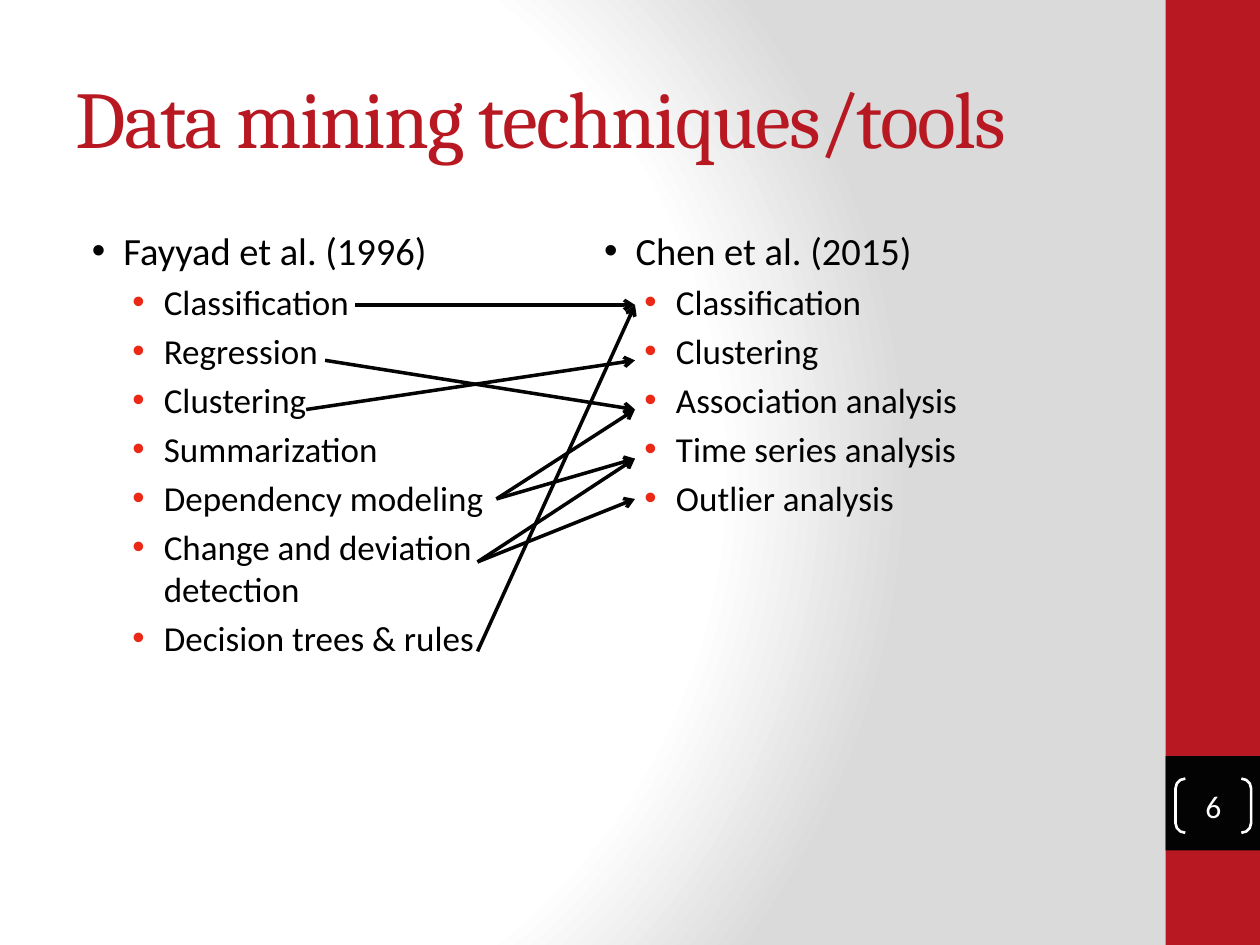
from lxml.etree import SubElement
from pptx import Presentation
from pptx.dml.color import RGBColor
from pptx.enum.shapes import MSO_CONNECTOR as CONNECTOR, MSO_SHAPE as SHAPE
from pptx.enum.text import MSO_ANCHOR as ANCHOR, MSO_AUTO_SIZE as AUTO_SIZE, PP_ALIGN as ALIGN
from pptx.oxml import parse_xml
from pptx.oxml.ns import nsdecls, qn
from pptx.util import Inches, Pt

COLORS = {"accent": "B81821", "dark": "030303", "text": "000000",
          "bullet": "EB2716", "white": "FFFFFF", "gray": "DADADA"}

FAYYAD = ["Classification", "Regression", "Clustering", "Summarization",
          "Dependency modeling", "Change and deviation detection",
          "Decision trees & rules"]
CHEN = ["Classification", "Clustering", "Association analysis",
        "Time series analysis", "Outlier analysis"]

STARTS = {"Classification": (2.32, 0.67), "Regression": (2.08, 1.11),
          "Clustering": (1.93, 1.5), "Dependency modeling": (3.44, 2.21),
          "Change and deviation detection": (3.29, 2.71),
          "Decision trees & rules": (3.29, 3.42)}
ENDS = dict(zip(CHEN, (0.67, 1.11, 1.5, 1.89, 2.21)))
END_LEFT = 4.54
LINKS = [("Classification", "Classification"),
         ("Clustering", "Clustering"),
         ("Regression", "Association analysis"),
         ("Change and deviation detection", "Outlier analysis"),
         ("Change and deviation detection", "Time series analysis"),
         ("Decision trees & rules", "Classification"),
         ("Dependency modeling", "Time series analysis"),
         ("Dependency modeling", "Association analysis")]


def rgb(name):
    """Return the named palette colour."""
    return RGBColor.from_string(COLORS[name])


def place(shape, left, top, width, height):
    """Move and size a shape, in inches."""
    shape.left, shape.top = Inches(left), Inches(top)
    shape.width, shape.height = Inches(width), Inches(height)


def write(paragraph, text, size, color="text", font="Calibri", align=ALIGN.LEFT, spacing=None):
    """Write one formatted run into a paragraph."""
    paragraph.alignment = align
    run = paragraph.add_run()
    run.text = text
    run.font.size, run.font.name = Pt(size), font
    run.font.color.rgb = rgb(color)
    if spacing is not None:
        run.font._element.set("spc", str(spacing * 100))


def set_bullet(paragraph, indent, color):
    """Give a paragraph a coloured bullet and a hanging indent."""
    properties = paragraph._p.get_or_add_pPr()
    properties.set("marL", str(Inches(indent)))
    properties.set("indent", str(Inches(-0.25)))
    bullet_color = SubElement(properties, qn("a:buClr"))
    SubElement(bullet_color, qn("a:srgbClr")).set("val", COLORS[color])
    SubElement(properties, qn("a:buFont")).set("typeface", "Arial")
    SubElement(properties, qn("a:buChar")).set("char", "•")


def paint_background(slide):
    """Fill the slide with a radial gradient."""
    stops = "".join(
        f'<a:gs pos="{position * 1000}"><a:srgbClr val="{COLORS[color]}"/></a:gs>'
        for position, color in ((0, "white"), (75, "white"), (100, "gray")))
    slide.element.cSld.insert(0, parse_xml(
        f'<p:bg {nsdecls("p", "a")}><p:bgPr><a:gradFill rotWithShape="1">'
        f'<a:gsLst>{stops}</a:gsLst><a:path path="circle">'
        '<a:fillToRect l="20000" t="50000" r="100000" b="50000"/></a:path>'
        '</a:gradFill><a:effectLst/></p:bgPr></p:bg>'))


def add_block(slide, color, *box):
    """Add a plain filled rectangle."""
    block = slide.shapes.add_shape(SHAPE.RECTANGLE, *map(Inches, box))
    block.shadow.inherit = False
    block.fill.solid()
    block.fill.fore_color.rgb = rgb(color)
    block.line.fill.background()


def add_sidebar(slide, left, top, width, height, number):
    """Add the side band with its bracketed page number."""
    add_block(slide, "accent", left, top, width, height)
    add_block(slide, "dark", left, top + 6, width, width)
    brackets = slide.shapes.add_shape(
        SHAPE.DOUBLE_BRACKET, *map(Inches, (left + 0.08, top + 6.18, 0.6, 0.43)))
    brackets.shadow.inherit = False
    brackets.adjustments[0] = 0.18
    brackets.fill.background()
    brackets.line.color.rgb = rgb("white")
    brackets.line.width = Pt(1.5)
    frame = brackets.text_frame
    frame.margin_left = frame.margin_right = frame.margin_top = frame.margin_bottom = 0
    frame.vertical_anchor = ANCHOR.MIDDLE
    write(frame.paragraphs[0], number, 18, color="white", align=ALIGN.CENTER)


def fill_title(title, left, top, width, height):
    """Place and write the slide title."""
    place(title, left, top, width, height)
    title.text_frame.auto_size = AUTO_SIZE.NONE
    title.text_frame.vertical_anchor = ANCHOR.MIDDLE
    write(title.text_frame.paragraphs[0], "Data mining techniques/tools", 46,
          color="accent", font="Cambria", spacing=-1)


def fill_list(body, heading, techniques, left, top, width, height):
    """Place one column: a source and its techniques."""
    place(body, left, top, width, height)
    frame = body.text_frame
    frame.auto_size = AUTO_SIZE.NONE
    source = frame.paragraphs[0]
    set_bullet(source, 0.38, "dark")
    write(source, heading, 22)
    for technique in techniques:
        item = frame.add_paragraph()
        item.level = 1
        set_bullet(item, 0.7, "bullet")
        write(item, technique, 20)


def add_links(slide, left, top):
    """Draw an arrow for each pair of matching techniques."""
    for old, new in LINKS:
        x, y = STARTS[old]
        arrow = slide.shapes.add_connector(
            CONNECTOR.STRAIGHT, Inches(left + x), Inches(top + y),
            Inches(left + END_LEFT), Inches(top + ENDS[new]))
        arrow.line.color.rgb = rgb("dark")
        arrow.line.width = Pt(2)
        properties = arrow._element.spPr
        SubElement(properties.find(qn("a:ln")), qn("a:tailEnd")).set("type", "arrow")
        SubElement(properties, qn("a:effectLst"))


def main():
    """Build and save the slide."""
    deck = Presentation()
    deck.slide_width, deck.slide_height = Inches(10), Inches(7.5)
    slide = deck.slides.add_slide(deck.slide_layouts[3])
    title, fayyad, chen = slide.placeholders
    left, top, width, height = 0.5, 1.75, 8.33, 5.25
    inset = 0.1
    column = (width - 2 * inset) / 2
    paint_background(slide)
    add_sidebar(slide, 9.25, 0, 0.75, 7.5, "6")
    fill_title(title, left, 0.3, width, 1.25)
    columns = ((fayyad, "Fayyad et al. (1996)", FAYYAD), (chen, "Chen et al. (2015)", CHEN))
    for index, (body, heading, techniques) in enumerate(columns):
        fill_list(body, heading, techniques, left + index * column, top,
                  column + 2 * inset, height)
    add_links(slide, left, top)
    deck.save("out.pptx")


if __name__ == "__main__":
    main()
